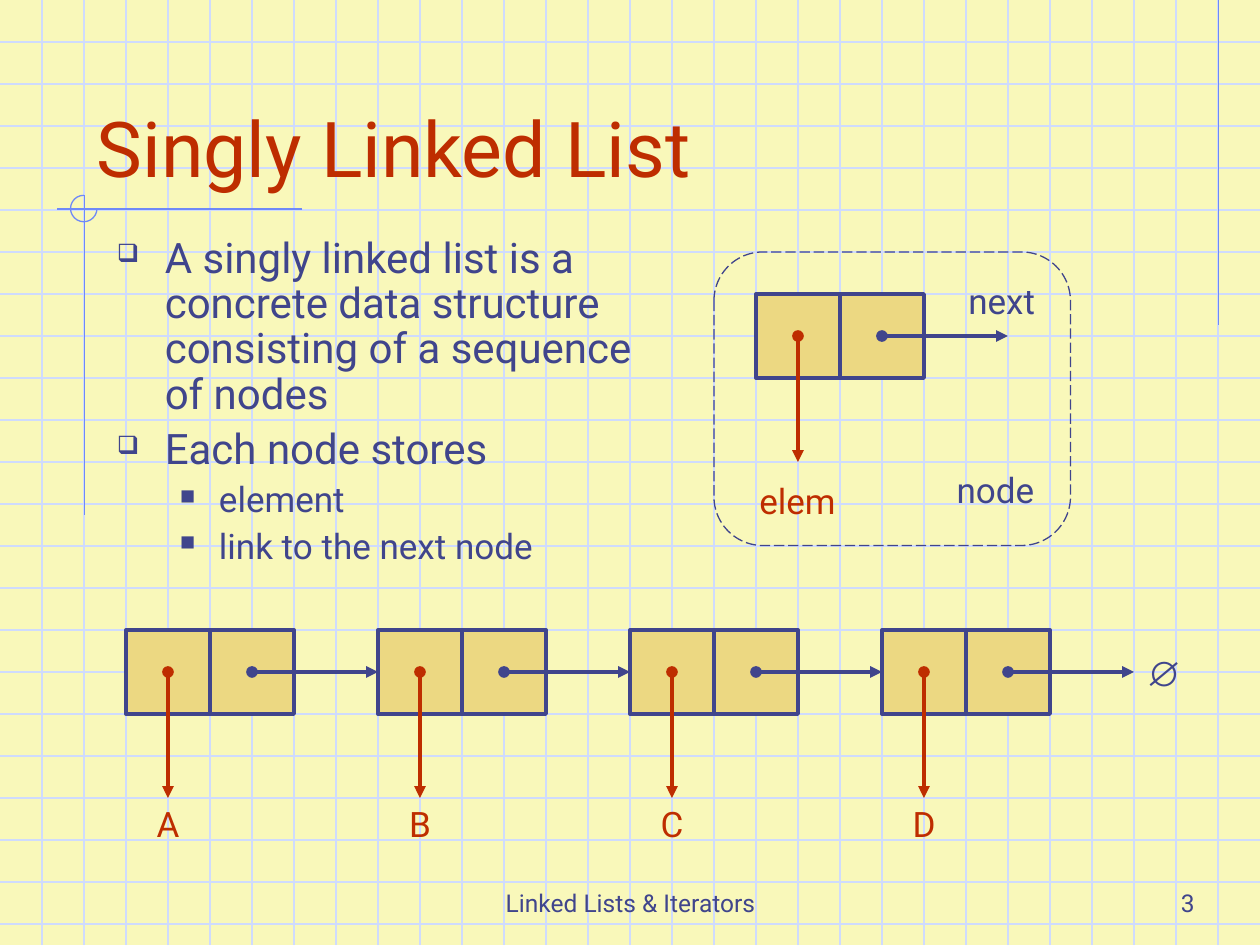
"""Build a slide that explains the singly linked list."""
from pptx import Presentation, oxml
from pptx.dml.color import RGBColor
from pptx.enum import dml, shapes, text
from pptx.util import Inches, Pt

PAPER = RGBColor(0xF9, 0xF8, 0xBA)
GRID = RGBColor(0xCF, 0xDB, 0xFD)
RULE = RGBColor(0x6F, 0x89, 0xF7)
INK = RGBColor(0x40, 0x45, 0x8C)
RED = RGBColor(0xBE, 0x2D, 0x00)
CELL_FILL = RGBColor(0xEC, 0xD8, 0x82)

WIDTH, HEIGHT = 10, 7.5
UNIT = 1 / 3
CELL = 2 * UNIT

TITLE = "Singly Linked List"
FOOTER = "Linked Lists & Iterators"
PAGE_NUMBER = "3"
BODY = [
    (0, "A singly linked list is a concrete data structure consisting of a sequence of nodes"),
    (0, "Each node stores"),
    (1, "element"),
    (1, "link to the next node"),
]
# level: bullet, size, space before, text indent, bullet offset
LEVELS = {
    0: ("❑", 24, 6, 0.38, 0.38),
    1: ("■", 20, 5, 0.81, 0.31),
}
RULES = [
    ((9.67, 0), (9.67, 2.58)),
    ((2.4, 1.66), (0.45, 1.66)),
    ((0.67, 1.55), (0.67, 4.09)),
]
ELEMENTS = ["A", "B", "C", "D"]
LIST_LEFT, LIST_TOP, LIST_STEP = 1, 5, 2
LEGEND_LEFT, LEGEND_TOP = 17 * UNIT, 2
LEGEND_LABELS = [
    ("next", 7.95, 2.17, INK),
    ("elem", 6.33, 3.76, RED),
    ("node", 7.9, 3.67, INK),
]


def draw_xml(parent, tag, **attributes):
    element = oxml.parse_xml(
        f'<a:{tag} xmlns:a="http://schemas.openxmlformats.org/drawingml/2006/main"/>')
    for name, value in attributes.items():
        element.set(name, str(value))
    parent.append(element)


def add_line(slide, start, end, color, width=0.75, arrow=False):
    points = [Inches(value) for value in (*start, *end)]
    line = slide.shapes.add_connector(shapes.MSO_CONNECTOR.STRAIGHT, *points)
    line.line.color.rgb = color
    line.line.width = Pt(width)
    if arrow:
        outline = line.line._get_or_add_ln()
        draw_xml(outline, "headEnd", type="oval")
        draw_xml(outline, "tailEnd", type="triangle")
    draw_xml(line._element.spPr, "effectLst")
    return line


def add_outline(slide, kind, box, color, width=0.75, fill=None):
    shape = slide.shapes.add_shape(kind, *[Inches(value) for value in box])
    shape.shadow.inherit = False
    shape.line.color.rgb = color
    shape.line.width = Pt(width)
    if fill is None:
        shape.fill.background()
    else:
        shape.fill.solid()
        shape.fill.fore_color.rgb = fill
    return shape


def set_font(paragraph, size, color, name="Roboto", bold=None):
    paragraph.font.size = Pt(size)
    paragraph.font.color.rgb = color
    paragraph.font.name = name
    paragraph.font.bold = bold


def add_text(slide, words, box, size, color, align=text.PP_ALIGN.LEFT,
             anchor=text.MSO_ANCHOR.BOTTOM, wrap=True, **font):
    frame = slide.shapes.add_textbox(*[Inches(value) for value in box]).text_frame
    frame.word_wrap = wrap
    frame.vertical_anchor = anchor
    paragraph = frame.paragraphs[0]
    paragraph.text = words
    paragraph.alignment = align
    set_font(paragraph, size, color, **font)


def add_label(slide, words, center, top, color, **font):
    width = 0.22 + 0.16 * len(words)
    add_text(slide, words, (center - width / 2, top, width, 0.44), 20, color,
             text.PP_ALIGN.CENTER, text.MSO_ANCHOR.TOP, False, **font)


def add_body(slide):
    box = slide.shapes.add_textbox(Inches(0.83), Inches(1.83), Inches(4.5), Inches(2.75))
    frame = box.text_frame
    frame.word_wrap = True
    for index, (level, words) in enumerate(BODY):
        bullet, size, space, indent, offset = LEVELS[level]
        paragraph = frame.add_paragraph() if index else frame.paragraphs[0]
        paragraph.text = words
        paragraph.level = level
        paragraph.line_spacing = 0.9
        paragraph.space_before = Pt(space)
        properties = paragraph._p.get_or_add_pPr()
        properties.set("marL", str(Inches(indent)))
        properties.set("indent", str(-Inches(offset)))
        draw_xml(properties, "buSzPct", val=60000)
        draw_xml(properties, "buChar", char=bullet)
        set_font(paragraph, size, INK)


def add_cells(slide, left, top):
    return [add_outline(slide, shapes.MSO_SHAPE.RECTANGLE,
                        (left + column * CELL, top, CELL, CELL), INK, 2.25, CELL_FILL)
            for column in range(2)]


def add_arrows(slide, left, top):
    x, y = left + CELL / 2, top + CELL / 2
    add_line(slide, (x, y), (x, y + 1), RED, 2.25, True)
    return add_line(slide, (x + CELL, y), (x + CELL + 1, y), INK, 2.25, True)


def add_paper(slide):
    slide.background.fill.solid()
    slide.background.fill.fore_color.rgb = PAPER
    for row in range(1, 23):
        add_line(slide, (0, row * UNIT), (WIDTH, row * UNIT), GRID)
    for column in range(1, 30):
        add_line(slide, (column * UNIT, 0), (column * UNIT, HEIGHT), GRID)
    for start, end in RULES:
        add_line(slide, start, end, RULE)
    arc = add_outline(slide, shapes.MSO_SHAPE.ARC, (0.56, 1.55, 0.21, 0.21), RULE)
    arc.adjustments[0] = 0
    arc.adjustments[1] = 162


def add_legend(slide):
    frame = add_outline(slide, shapes.MSO_SHAPE.ROUNDED_RECTANGLE,
                        (LEGEND_LEFT, LEGEND_TOP, 2.83, 2.33), INK)
    frame.line.dash_style = dml.MSO_LINE.LONG_DASH
    left, top = LEGEND_LEFT + UNIT, LEGEND_TOP + UNIT
    add_cells(slide, left, top)
    add_arrows(slide, left, top)
    for label in LEGEND_LABELS:
        add_label(slide, *label)


def add_list(slide):
    lefts = [LIST_LEFT + LIST_STEP * index for index in range(len(ELEMENTS))]
    nodes = [add_cells(slide, left, LIST_TOP) for left in lefts]
    for index, (element, left) in enumerate(zip(ELEMENTS, lefts)):
        link = add_arrows(slide, left, LIST_TOP)
        if index + 1 < len(nodes):
            link.end_connect(nodes[index + 1][0], 1)
        add_label(slide, element, left + CELL / 2, 6.32, RED)
    add_label(slide, "∅", 9.19, 5.12, INK, name="Arial", bold=True)


def main():
    presentation = Presentation()
    presentation.slide_width = Inches(WIDTH)
    presentation.slide_height = Inches(HEIGHT)
    slide = presentation.slides.add_slide(presentation.slide_layouts[6])
    add_paper(slide)
    add_text(slide, FOOTER, (3.42, 6.83, 3.17, 0.5), 14, INK, text.PP_ALIGN.CENTER)
    add_text(slide, PAGE_NUMBER, (7.5, 6.83, 2.08, 0.5), 14, INK, text.PP_ALIGN.RIGHT)
    add_text(slide, TITLE, (0.67, 0.33, 8.5, 1.25), 44, RED)
    add_body(slide)
    add_legend(slide)
    add_list(slide)
    presentation.save("out.pptx")


if __name__ == "__main__":
    main()
